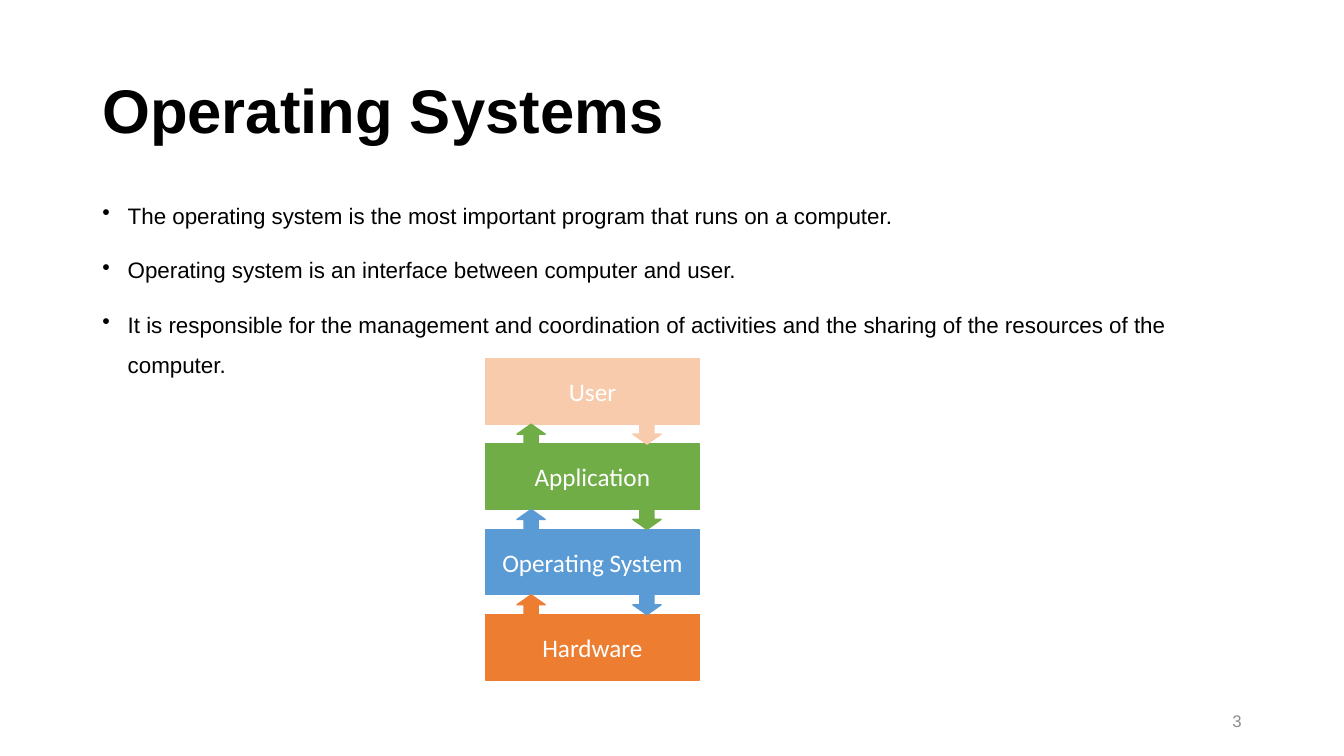
import pptx
import pptx.dml.color
import pptx.enum.shapes
import pptx.enum.text
import pptx.util
from lxml import etree

Cm = pptx.util.Cm
Pt = pptx.util.Pt
SHAPE = pptx.enum.shapes.MSO_SHAPE
ALIGN = pptx.enum.text.PP_ALIGN
MIDDLE = pptx.enum.text.MSO_ANCHOR.MIDDLE

POINTS = [
    "The operating system is the most important program that runs on a computer.",
    "Operating system is an interface between computer and user.",
    "It is responsible for the management and coordination of activities "
    "and the sharing of the resources of the computer.",
]
LAYERS = [
    ("User", "F8CBAD"),
    ("Application", "70AD47"),
    ("Operating System", "5B9BD5"),
    ("Hardware", "ED7D31"),
]


def color(hex):
    """Turn a hex string into a colour."""
    return pptx.dml.color.RGBColor.from_string(hex)


def style(para, size, font, hex, bold=False):
    """Format every run of a paragraph."""
    for run in para.runs:
        run.font.size = Pt(size)
        run.font.name = font
        run.font.bold = bold
        run.font.color.rgb = color(hex)


def text_box(slide, box):
    """Add a wrapping text box and return its text frame."""
    frame = slide.shapes.add_textbox(*map(Cm, box)).text_frame
    frame.word_wrap = True
    return frame


def add_title(slide, box, text):
    """Place the slide title."""
    frame = text_box(slide, box)
    frame.vertical_anchor = MIDDLE
    frame.text = text
    para = frame.paragraphs[0]
    para.line_spacing = 0.9
    style(para, 44, "Arial", "000000", True)


def add_points(slide, box, points):
    """Place the bulleted list."""
    frame = text_box(slide, box)
    frame.text = "\n".join(points)
    for para in frame.paragraphs:
        para.line_spacing = 1.5
        para.space_before = Pt(10)
        props = para._p.get_or_add_pPr()
        props.set("marL", str(Cm(0.64)))
        props.set("indent", str(Cm(-0.64)))
        mark = etree.SubElement(props, pptx.oxml.ns.qn("a:buChar"))
        mark.set("char", "•")
        style(para, 16, "Arial", "000000")


def add_number(slide, box, text):
    """Place the slide number."""
    frame = text_box(slide, box)
    frame.vertical_anchor = MIDDLE
    frame.text = text
    para = frame.paragraphs[0]
    para.alignment = ALIGN.RIGHT
    style(para, 12, "Arial", "8C8C8C")


def add_block(slide, kind, box, hex):
    """Add a flat shape in one colour."""
    block = slide.shapes.add_shape(kind, *map(Cm, box))
    block.shadow.inherit = False
    block.fill.solid()
    block.fill.fore_color.rgb = color(hex)
    block.line.color.rgb = color(hex)
    block.line.width = Pt(1)
    return block


def add_stack(slide, box, layers):
    """Stack the layers, with an up and a down arrow in each gap."""
    left, top, width, height = box
    gap = 0.5
    tall = (height - gap * (len(layers) - 1)) / len(layers)
    for i, (name, hex) in enumerate(layers):
        y = top + i * (tall + gap)
        block = add_block(slide, SHAPE.RECTANGLE, (left, y, width, tall), hex)
        frame = block.text_frame
        frame.vertical_anchor = MIDDLE
        frame.text = name
        para = frame.paragraphs[0]
        para.alignment = ALIGN.CENTER
        style(para, 18, "Calibri", "FFFFFF")
    for i, (above, below) in enumerate(zip(layers, layers[1:])):
        y = top + i * (tall + gap) + tall
        add_block(slide, SHAPE.UP_ARROW, (left + 0.8, y, 0.71, gap), below[1])
        add_block(slide, SHAPE.DOWN_ARROW, (left + 3.72, y, 0.71, gap), above[1])


def main():
    """Build the slide and save it."""
    deck = pptx.Presentation()
    deck.slide_width = Cm(33.87)
    deck.slide_height = Cm(19.05)
    slide = deck.slides.add_slide(deck.slide_layouts[6])
    add_title(slide, (2.33, 1.01, 29.21, 3.68), "Operating Systems")
    add_points(slide, (2.33, 4.63, 29.21, 12.09), POINTS)
    add_number(slide, (23.92, 17.66, 7.62, 1.01), "3")
    add_stack(slide, (12.23, 9.04, 5.4, 8.1), LAYERS)
    deck.save("out.pptx")


if __name__ == "__main__":
    main()
